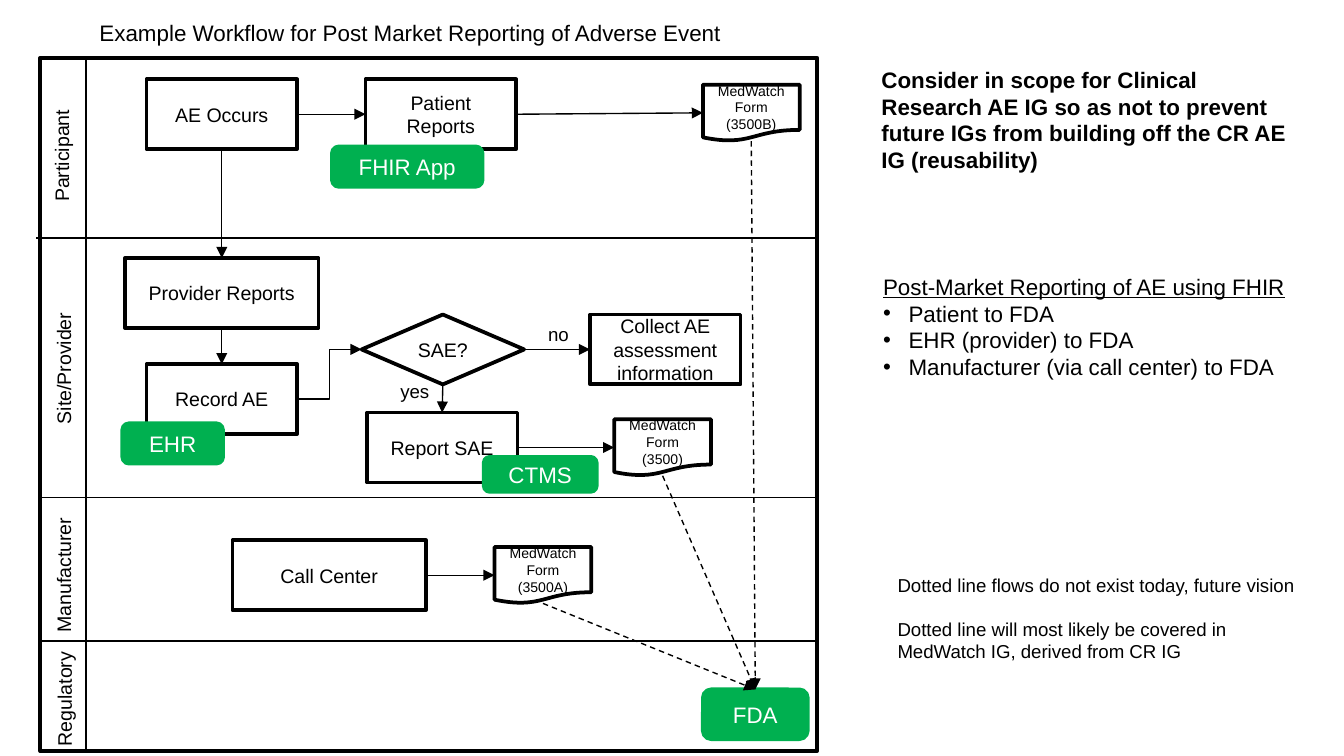
"""Build the swimlane slide on post market reporting of adverse events."""
from dataclasses import dataclass
from typing import NamedTuple

from lxml.etree import SubElement
from pptx import Presentation
from pptx.dml.color import RGBColor
from pptx.enum.dml import MSO_LINE
from pptx.enum.shapes import MSO_CONNECTOR, MSO_SHAPE
from pptx.enum.text import MSO_ANCHOR, PP_ALIGN
from pptx.oxml.ns import qn
from pptx.util import Emu, Inches, Pt


@dataclass(frozen=True)
class Theme:
    font: str = "Arial"
    ink: RGBColor = RGBColor(0, 0, 0)
    paper: RGBColor = RGBColor(255, 255, 255)
    green: RGBColor = RGBColor(0, 176, 80)
    head: float = 12
    step: float = 10.5
    note: float = 10
    form: float = 7.5
    thick: float = 2
    thin: float = 0.75


class Area(NamedTuple):
    col: float
    row: float
    cols: float
    rows: float


class Node(NamedTuple):
    name: str
    text: str
    kind: MSO_SHAPE
    area: Area
    size: float


class Flow(NamedTuple):
    start: str
    out: int
    end: str
    into: int
    dash: bool = False
    bent: bool = False


class Label(NamedTuple):
    text: str
    area: Area
    size: float
    turn: float = 0
    wrap: bool = False
    bold: bool = False


THEME = Theme()
WIDTH = Inches(10)
HEIGHT = Emu(WIDTH * 9 // 16)
CELL = WIDTH / 100
TOP, LEFT, BOTTOM, RIGHT = range(4)
BOX, FORM, TAG = MSO_SHAPE.RECTANGLE, MSO_SHAPE.FLOWCHART_DOCUMENT, MSO_SHAPE.ROUNDED_RECTANGLE
SMALL, LARGE, SHEET = (11.2, 5.2), (14.4, 5.2), (7.2, 4.2)
FRAME = Area(3, 4.3, 57.8, 51.6)
RULES = [(6.4, 4.3, 6.4, 55.9), (2.7, 17.7, 60.9, 17.7),
         (3.1, 37, 60.9, 37), (3, 47.7, 60.9, 47.7)]

NODES = [
    Node("occurs", "AE Occurs", BOX, Area(10.9, 5.9, *SMALL), THEME.step),
    Node("patient", "Patient Reports", BOX, Area(27.2, 5.9, *SMALL), THEME.step),
    Node("provider", "Provider Reports", BOX, Area(9.3, 19.2, *LARGE), THEME.step),
    Node("record", "Record AE", BOX, Area(10.9, 27.1, *SMALL), THEME.step),
    Node("choice", "SAE?", MSO_SHAPE.FLOWCHART_DECISION, Area(26.9, 23.4, 12.1, 5.2), THEME.step),
    Node("collect", "Collect AE assessment information", BOX, Area(43.9, 23.4, *SMALL), THEME.step),
    Node("report", "Report SAE", BOX, Area(27.3, 30.7, *SMALL), THEME.step),
    Node("call", "Call Center", BOX, Area(17.3, 40.2, *LARGE), THEME.step),
    Node("form b", "MedWatch Form (3500B)", FORM, Area(52.3, 6.3, *SHEET), THEME.form),
    Node("form", "MedWatch Form (3500)", FORM, Area(45.7, 31.2, *SHEET), THEME.form),
    Node("form a", "MedWatch Form (3500A)", FORM, Area(36.8, 40.7, *SHEET), THEME.form),
    Node("fda", "FDA", TAG, Area(52.3, 51.3, 7.8, 3.7), THEME.head),
]
TAGS = [
    Node("app", "FHIR App", TAG, Area(24.7, 10.9, 11.2, 3), THEME.head),
    Node("ehr", "EHR", TAG, Area(9.1, 31.5, 7.5, 3), THEME.head),
    Node("ctms", "CTMS", TAG, Area(36, 34, 8.4, 2.6), THEME.head),
]
FLOWS = [
    Flow("occurs", RIGHT, "patient", LEFT),
    Flow("occurs", BOTTOM, "provider", TOP),
    Flow("provider", BOTTOM, "record", TOP),
    Flow("patient", RIGHT, "form b", LEFT),
    Flow("record", RIGHT, "choice", LEFT, bent=True),
    Flow("choice", RIGHT, "collect", LEFT),
    Flow("choice", BOTTOM, "report", TOP),
    Flow("report", RIGHT, "form", LEFT),
    Flow("call", RIGHT, "form a", LEFT),
    Flow("form b", BOTTOM, "fda", TOP, dash=True),
    Flow("form", BOTTOM, "fda", TOP, dash=True),
    Flow("form a", BOTTOM, "fda", TOP, dash=True),
]
LABELS = [
    Label("Participant", Area(0.1, 10.1, 9, 2.8), THEME.step, 270),
    Label("Site/Provider", Area(-0.5, 25.9, 10.5, 2.8), THEME.step, 270),
    Label("Manufacturer", Area(-0.6, 41.3, 10.7, 2.8), THEME.step, 270),
    Label("Regulatory", Area(0.2, 50.5, 9.2, 2.8), THEME.step, 270),
    Label("yes", Area(28.8, 27.8, 4.2, 2.7), THEME.note),
    Label("no", Area(39.8, 23.5, 3.6, 2.7), THEME.note),
    Label("Consider in scope for Clinical Research AE IG so as not to prevent future IGs "
          "from building off the CR AE IG (reusability)",
          Area(64.6, 4.4, 32.2, 9.1), THEME.head, wrap=True, bold=True),
    Label("Dotted line flows do not exist today, future vision\n"
          "Dotted line will most likely be covered in MedWatch IG, derived from CR IG",
          Area(65.8, 42.2, 32.3, 7.7), THEME.note, wrap=True),
]
TITLE = "Example Workflow for Post Market Reporting of Adverse Event"
TOPIC = "Post-Market Reporting of AE using FHIR"
PATHS = ["Patient to FDA", "EHR (provider) to FDA", "Manufacturer (via call center) to FDA"]


def grid(*marks: float) -> list[Emu]:
    """Turn grid marks into lengths."""
    return [Emu(round(mark * CELL)) for mark in marks]


def write(para, text: str, size: float, color: RGBColor = THEME.ink, bold: bool = False):
    """Add one styled run to a paragraph."""
    run = para.add_run()
    run.text = text
    font = run.font
    font.name, font.size, font.bold = THEME.font, Pt(size), bold
    font.color.rgb = color
    return run


def draw_node(slide, node: Node):
    """Draw a step, form or green tag."""
    shape = slide.shapes.add_shape(node.kind, *grid(*node.area))
    shape.shadow.inherit = False
    green = node.kind == TAG
    if green:
        shape.fill.solid()
        shape.fill.fore_color.rgb = THEME.green
    else:
        shape.fill.background()
    shape.line.color.rgb = THEME.green if green else THEME.ink
    shape.line.width = Pt(THEME.thick)
    if node.text:
        write(shape.text_frame.paragraphs[0], node.text, node.size,
              THEME.paper if green else THEME.ink)
    return shape


def draw_line(slide, ends: tuple, kind: MSO_CONNECTOR = MSO_CONNECTOR.STRAIGHT):
    """Draw a thin plain line."""
    line = slide.shapes.add_connector(kind, *grid(*ends))
    line.line.color.rgb = THEME.ink
    line.line.width = Pt(THEME.thin)
    SubElement(line._element.spPr, qn("a:effectLst"))
    return line


def draw_flow(slide, flow: Flow, shapes: dict) -> None:
    """Join two nodes with an arrow."""
    kind = MSO_CONNECTOR.ELBOW if flow.bent else MSO_CONNECTOR.STRAIGHT
    line = draw_line(slide, (0, 0, 0, 0), kind)
    line.begin_connect(shapes[flow.start], flow.out)
    line.end_connect(shapes[flow.end], flow.into)
    if flow.dash:
        line.line.dash_style = MSO_LINE.DASH
    SubElement(line.line._get_or_add_ln(), qn("a:tailEnd"), type="triangle")


def draw_label(slide, label: Label) -> None:
    """Draw free text, one paragraph for each line."""
    box = slide.shapes.add_textbox(*grid(*label.area))
    box.rotation = label.turn
    frame = box.text_frame
    frame.word_wrap = label.wrap
    for index, text in enumerate(label.text.split("\n")):
        para = frame.add_paragraph() if index else frame.paragraphs[0]
        para.space_before = Pt(index * label.size * 1.15)
        write(para, text, label.size, bold=label.bold)


def place(holder, area: Area):
    """Move a placeholder and return its text frame."""
    holder.left, holder.top, holder.width, holder.height = grid(*area)
    frame = holder.text_frame
    frame.vertical_anchor = MSO_ANCHOR.TOP
    return frame


def fill_list(frame) -> None:
    """Write the underlined topic and its bullets."""
    for index, text in enumerate([TOPIC, *PATHS]):
        para = frame.add_paragraph() if index else frame.paragraphs[0]
        para.space_before = Pt(0)
        run = write(para, text, THEME.head)
        run.font.underline = index == 0
        props = para._p.get_or_add_pPr()
        dent = Inches(0.19) if index else 0
        props.set("marL", str(dent))
        props.set("indent", str(-dent))
        if index:
            SubElement(props, qn("a:buChar"), char="•")
        else:
            SubElement(props, qn("a:buNone"))


def main() -> None:
    """Build and save the slide."""
    deck = Presentation()
    deck.slide_width, deck.slide_height = WIDTH, HEIGHT
    slide = deck.slides.add_slide(deck.slide_layouts[1])
    title = place(slide.shapes.title, Area(6.4, 0.9, 51.2, 3)).paragraphs[0]
    title.alignment = PP_ALIGN.LEFT
    write(title, TITLE, THEME.head)
    fill_list(place(slide.placeholders[1], Area(64.7, 19.8, 33.9, 9.1)))
    draw_node(slide, Node("frame", "", BOX, FRAME, THEME.step))
    for ends in RULES:
        draw_line(slide, ends)
    shapes = {node.name: draw_node(slide, node) for node in NODES}
    for flow in FLOWS:
        draw_flow(slide, flow, shapes)
    for tag in TAGS:
        draw_node(slide, tag)
    for label in LABELS:
        draw_label(slide, label)
    deck.save("out.pptx")


if __name__ == "__main__":
    main()
